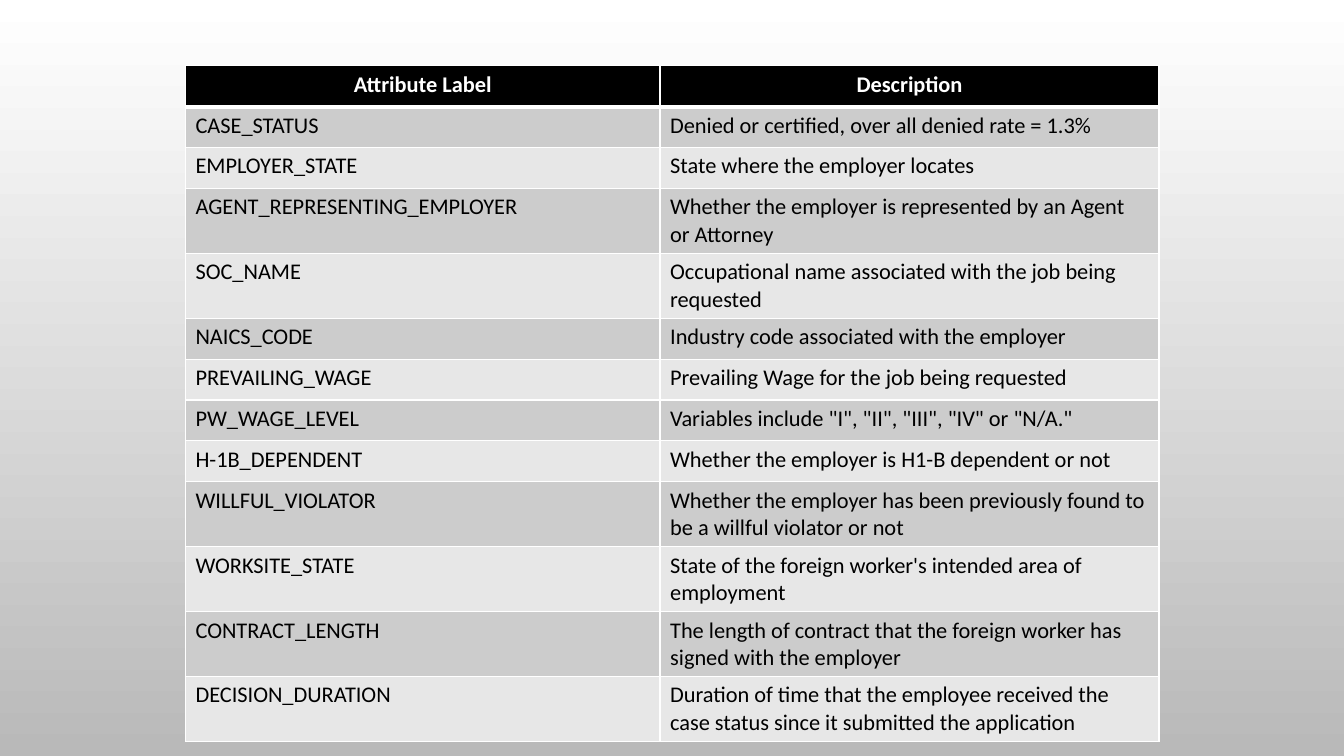
from dataclasses import dataclass

from lxml.etree import SubElement
from pptx import Presentation
from pptx.dml.color import RGBColor
from pptx.enum.text import PP_ALIGN
from pptx.oxml.ns import qn
from pptx.util import Pt

# Content
HEADER = ("Attribute Label", "Description")
ATTRIBUTES = [
    ("CASE_STATUS", "Denied or certified, over all denied rate = 1.3%"),
    ("EMPLOYER_STATE", "State where the employer locates"),
    ("AGENT_REPRESENTING_EMPLOYER", "Whether the employer is represented by an Agent or Attorney"),
    ("SOC_NAME", "Occupational name associated with the job being requested"),
    ("NAICS_CODE", "Industry code associated with the employer"),
    ("PREVAILING_WAGE", "Prevailing Wage for the job being requested"),
    ("PW_WAGE_LEVEL", 'Variables include "I", "II", "III", "IV" or "N/A."'),
    ("H-1B_DEPENDENT", "Whether the employer is H1-B dependent or not"),
    ("WILLFUL_VIOLATOR", "Whether the employer has been previously found to be a willful violator or not"),
    ("WORKSITE_STATE", "State of the foreign worker's intended area of employment"),
    ("CONTRACT_LENGTH", "The length of contract that the foreign worker has signed with the employer"),
    ("DECISION_DURATION",
     "Duration of time that the employee received the case status since it submitted the application"),
]


@dataclass(frozen=True)
class Theme:
    font: str = "Calibri"
    size: int = 16
    white: str = "FFFFFF"
    black: str = "000000"
    bands: tuple = ("CCCCCC", "E7E7E7")
    shade: str = "B9B9B9"
    thin: int = 1
    thick: int = 3


THEME = Theme()

# Layout in points
LEFT, TOP = 132.5, 47
COLUMN_WIDTHS = (339, 356.4)
SINGLE_ROW, DOUBLE_ROW = 29.2, 46.4
LINE_CAPACITY = 50  # characters that fit on one description line


def color(value):
    return RGBColor.from_string(value)


def add_borders(cell, top, bottom):
    properties = cell._tc.get_or_add_tcPr()
    widths = {"a:lnL": THEME.thin, "a:lnR": THEME.thin, "a:lnT": top, "a:lnB": bottom}
    for tag, width in widths.items():
        line = SubElement(properties, qn(tag), w=str(Pt(width)))
        fill = SubElement(line, qn("a:solidFill"))
        SubElement(fill, qn("a:srgbClr"), val=THEME.white)


def fill_cell(cell, text, row):
    is_header = row == 0
    add_borders(cell,
                top=THEME.thick if row == 1 else THEME.thin,
                bottom=THEME.thick if is_header else THEME.thin)
    cell.fill.solid()
    cell.fill.fore_color.rgb = color(THEME.black if is_header else THEME.bands[(row - 1) % 2])
    cell.text = text
    para = cell.text_frame.paragraphs[0]
    para.alignment = PP_ALIGN.CENTER if is_header else PP_ALIGN.LEFT
    para.font.name = THEME.font
    para.font.size = Pt(THEME.size)
    para.font.bold = is_header
    para.font.color.rgb = color(THEME.white if is_header else THEME.black)


def paint_background(page):
    fill = page.background.fill
    fill.gradient()
    fill.gradient_angle = 270  # counter-clockwise, so it runs top to bottom
    for stop, position, value in zip(fill.gradient_stops, (0, 1), (THEME.white, THEME.shade)):
        stop.position = position
        stop.color.rgb = color(value)


def add_attribute_table(page):
    rows = [HEADER, *ATTRIBUTES]
    heights = [DOUBLE_ROW if len(description) > LINE_CAPACITY else SINGLE_ROW
               for _, description in rows]
    table = page.shapes.add_table(len(rows), len(HEADER), Pt(LEFT), Pt(TOP),
                                  Pt(sum(COLUMN_WIDTHS)), Pt(sum(heights))).table
    for column, width in zip(table.columns, COLUMN_WIDTHS):
        column.width = Pt(width)
    for index, (texts, height) in enumerate(zip(rows, heights)):
        table.rows[index].height = Pt(height)
        for column, text in enumerate(texts):
            fill_cell(table.cell(index, column), text, index)


def main():
    deck = Presentation()
    deck.slide_width, deck.slide_height = Pt(960), Pt(540)
    page = deck.slides.add_slide(deck.slide_layouts[6])
    paint_background(page)
    add_attribute_table(page)
    deck.save("out.pptx")


if __name__ == "__main__":
    main()
